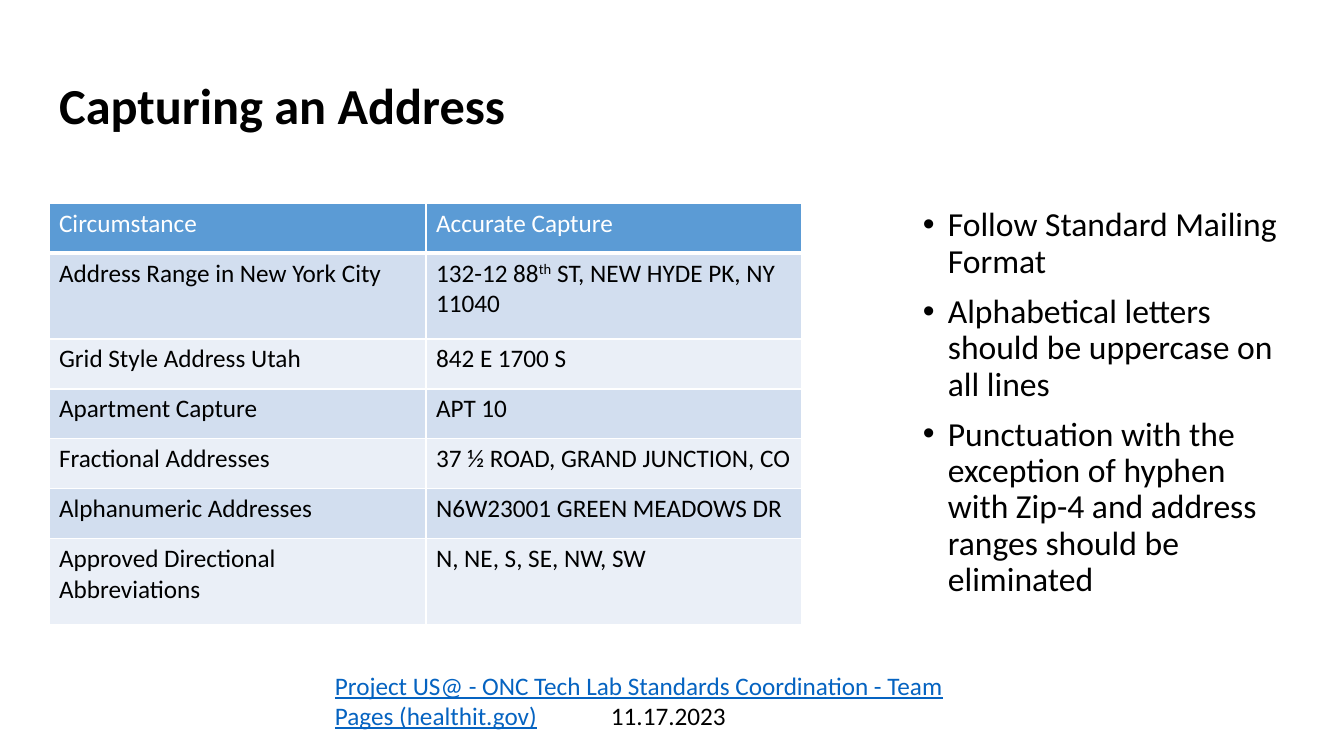
from lxml import etree
from pptx import Presentation
from pptx.dml.color import RGBColor
from pptx.enum.text import MSO_ANCHOR, PP_ALIGN
from pptx.oxml.ns import qn
from pptx.util import Pt

EMU_PER_PX = 914400 / 100.8
LEFT = PP_ALIGN.LEFT
TOP, MIDDLE = MSO_ANCHOR.TOP, MSO_ANCHOR.MIDDLE
FONT = "Calibri"
COLORS = {
    "text": "000000",
    "white": "FFFFFF",
    "header": "5B9BD5",
    "odd": "D2DEEF",
    "even": "EAEFF7",
    "link": "0563C1",
}
COLUMN_WIDTHS = [377, 376]
SINGLE_ROW, DOUBLE_ROW = 50, 86
ROWS = [
    ("Circumstance", ["Accurate Capture"], SINGLE_ROW),
    ("Address Range in New York City",
     ["132-12 88", "th", " ST, NEW HYDE PK, NY 11040"], DOUBLE_ROW),
    ("Grid Style Address Utah", ["842 E 1700 S"], SINGLE_ROW),
    ("Apartment Capture", ["APT 10"], SINGLE_ROW),
    ("Fractional Addresses", ["37 ½ ROAD, GRAND JUNCTION, CO"], SINGLE_ROW),
    ("Alphanumeric Addresses", ["N6W23001 GREEN MEADOWS DR"], SINGLE_ROW),
    ("Approved Directional Abbreviations", ["N, NE, S, SE, NW, SW"], DOUBLE_ROW),
]
RULES = [
    "Follow Standard Mailing Format",
    "Alphabetical letters should be uppercase on all lines",
    "Punctuation with the exception of hyphen with Zip-4 and address ranges should be eliminated",
]


def px(n):
    """Turn pixels into EMU."""
    return round(n * EMU_PER_PX)


def rgb(name):
    """Look up a colour by name."""
    return RGBColor.from_string(COLORS[name])


def add_run(p, text, size, color="text", **values):
    """Add a formatted run to a paragraph."""
    r = p.add_run()
    r.text = text
    values = {"name": FONT, "size": Pt(size), "bold": False, **values}
    for key, value in values.items():
        setattr(r.font, key, value)
    r.font.color.rgb = rgb(color)
    return r


def add_title(s, text, box):
    """Place and fill the title placeholder."""
    sp = s.shapes.title
    for key, value in zip(("left", "top", "width", "height"), box):
        setattr(sp, key, px(value))
    tf = sp.text_frame
    tf.vertical_anchor = MIDDLE
    p = tf.paragraphs[0]
    p.alignment = LEFT
    p.line_spacing = 0.9
    add_run(p, text, 36, bold=True)


def add_text_box(s, box):
    """Add a wrapping text box and return its text frame."""
    tf = s.shapes.add_textbox(*map(px, box)).text_frame
    tf.word_wrap = True
    tf.vertical_anchor = TOP
    return tf


def add_bullets(s, items, box):
    """Add a bulleted list."""
    tf = add_text_box(s, box)
    for i, item in enumerate(items):
        p = tf.add_paragraph() if i else tf.paragraphs[0]
        p.line_spacing = 0.9
        p.space_before = Pt(10)
        pPr = p._p.get_or_add_pPr()
        pPr.set("marL", str(px(25)))
        pPr.set("indent", str(px(-25)))
        etree.SubElement(pPr, qn("a:buFont"), typeface="Arial")
        etree.SubElement(pPr, qn("a:buChar"), char="•")
        add_run(p, item, 24)


def set_borders(cell, bottom):
    """Give a cell white borders with a chosen bottom width."""
    tcPr = cell._tc.get_or_add_tcPr()
    for tag, width in {"lnL": 1, "lnR": 1, "lnT": 1, "lnB": bottom}.items():
        ln = etree.SubElement(tcPr, qn(f"a:{tag}"), w=str(Pt(width)))
        fill = etree.SubElement(ln, qn("a:solidFill"))
        etree.SubElement(fill, qn("a:srgbClr"), val=COLORS["white"])


def fill_cell(cell, parts, color, fill, bottom):
    """Format a cell and write its parts, every second one raised."""
    set_borders(cell, bottom)
    cell.fill.solid()
    cell.fill.fore_color.rgb = rgb(fill)
    for i, part in enumerate(parts):
        r = add_run(cell.text_frame.paragraphs[0], part, 18, color)
        if i % 2:
            r.font._element.set("baseline", "30000")


def add_address_table(s, left, top):
    """Add the table of address circumstances."""
    height = sum(row[2] for row in ROWS)
    box = (left, top, sum(COLUMN_WIDTHS), height)
    table = s.shapes.add_table(len(ROWS), len(COLUMN_WIDTHS), *map(px, box)).table
    for column, width in zip(table.columns, COLUMN_WIDTHS):
        column.width = px(width)
    for i, (circumstance, capture, height) in enumerate(ROWS):
        table.rows[i].height = px(height)
        if i == 0:
            style = ("white", "header", 3)
        else:
            style = ("text", "odd" if i % 2 else "even", 1)
        for j, parts in enumerate(([circumstance], capture)):
            fill_cell(table.cell(i, j), parts, *style)


def add_source(s, name, date, box, date_at):
    """Add the underlined source name and its date at a tab stop."""
    p = add_text_box(s, box).paragraphs[0]
    tabs = etree.SubElement(p._p.get_or_add_pPr(), qn("a:tabLst"))
    etree.SubElement(tabs, qn("a:tab"), pos=str(px(date_at)), algn="l")
    add_run(p, name, 18, "link", underline=True)
    add_run(p, "\t" + date, 18)


def main():
    """Build and save the slide."""
    prs = Presentation()
    prs.slide_width, prs.slide_height = px(1344), px(756)
    s = prs.slides.add_slide(prs.slide_layouts[5])
    add_title(s, "Capturing an Address", (49, 35, 1159, 146))
    add_address_table(s, 49, 203)
    add_bullets(s, RULES, (913, 203, 379, 372))
    add_source(
        s,
        "Project US@ - ONC Tech Lab Standards Coordination - Team Pages (healthit.gov)",
        "11.17.2023", (325, 665, 672, 72), 276)
    prs.save("out.pptx")


if __name__ == "__main__":
    main()
